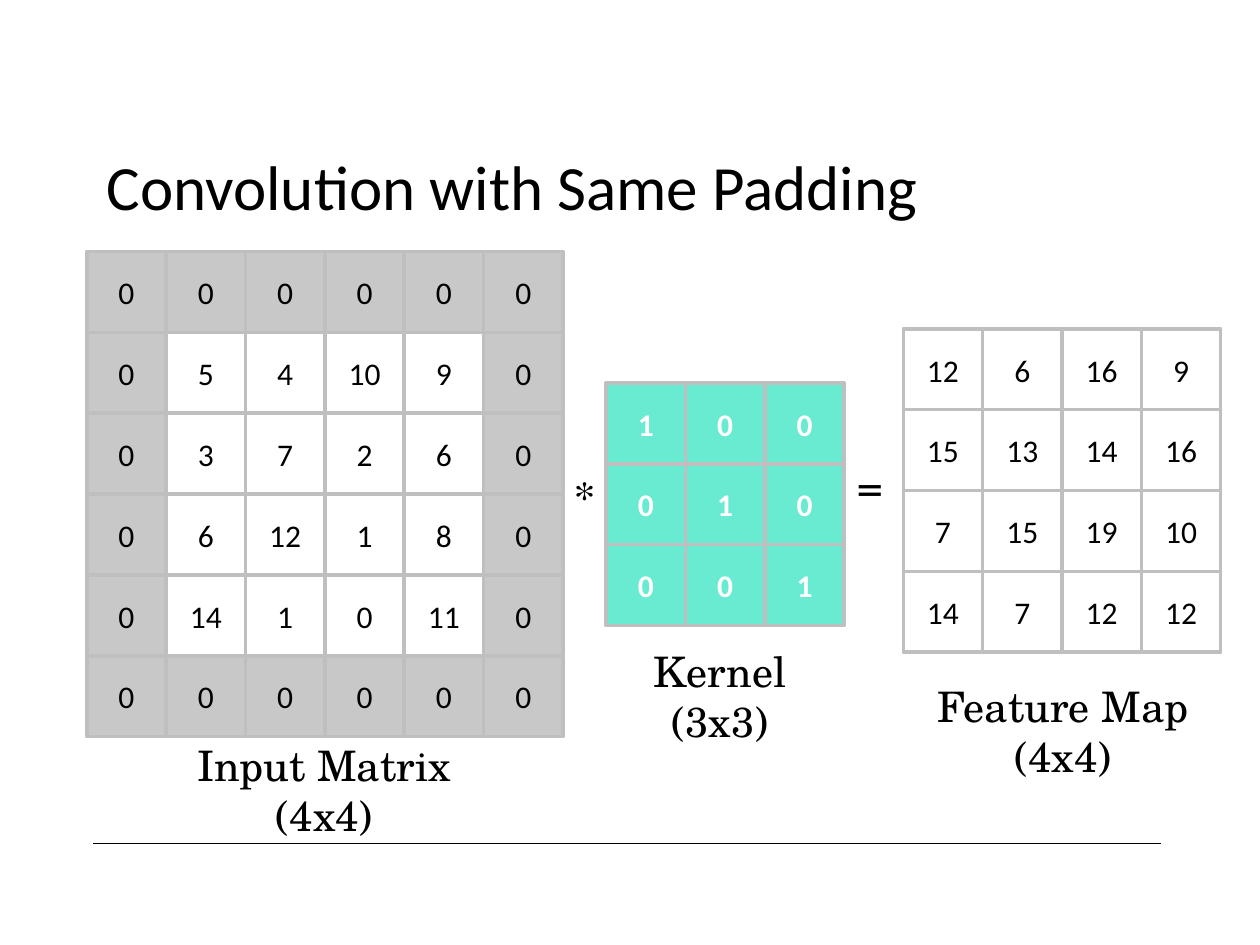
"""Build a slide that shows a convolution with same padding."""
import pptx
import pptx.dml.color
import pptx.enum.shapes
import pptx.enum.text
import pptx.oxml.ns
import pptx.util
import lxml.etree

Cm = pptx.util.Cm
Pt = pptx.util.Pt
Hue = pptx.dml.color.RGBColor.from_string
Kind = pptx.enum.shapes.MSO_SHAPE
Align = pptx.enum.text.PP_ALIGN
Anchor = pptx.enum.text.MSO_ANCHOR

hues = {"ink": "000000", "white": "FFFFFF", "pad": "C8C8C8",
        "mint": "69EBD1", "edge": "BFBFBF"}

deck = pptx.Presentation()
deck.slide_width, deck.slide_height = Cm(25.4), Cm(19.05)
slide = deck.slides.add_slide(deck.slide_layouts[6])


def write(text, box, fill=None, font="TeX Gyre Schola", size=24, hue="ink",
          bold=False, align=Align.CENTER, anchor=Anchor.TOP, top=0.13):
    place = [Cm(n) for n in box]
    if fill:
        shape = slide.shapes.add_shape(Kind.RECTANGLE, *place)
        shape.shadow.inherit = False
        shape.fill.solid()
        shape.fill.fore_color.rgb = Hue(hues[fill])
        shape.line.color.rgb = Hue(hues["edge"])
        shape.line.width = Pt(2)
    else:
        shape = slide.shapes.add_textbox(*place)
    frame = shape.text_frame
    frame.word_wrap = True
    frame.vertical_anchor = anchor
    frame.margin_top = Cm(top)
    frame.text = text
    for para in frame.paragraphs:
        para.alignment = align
        for run in para.runs:
            run.font.name = font
            run.font.size = Pt(size)
            run.font.bold = bold
            run.font.color.rgb = Hue(hues[hue])


rule = slide.shapes.add_connector(
    pptx.enum.shapes.MSO_CONNECTOR.STRAIGHT, Cm(1.88), Cm(17), Cm(23.4), Cm(17))
rule.line.color.rgb = Hue(hues["ink"])
rule.line.width = Pt(0.75)
lxml.etree.SubElement(rule._element.spPr, pptx.oxml.ns.qn("a:effectLst"))

write("Convolution with Same Padding", (1.9, 2.77, 21.5, 2.31),
      font="Calibri", size=36, align=Align.LEFT, top=0.2)

image = [[5, 4, 10, 9], [3, 7, 2, 6], [6, 12, 1, 8], [14, 1, 0, 11]]
padded = [[0] * 6] + [[0, *row, 0] for row in image] + [[0] * 6]
kernel = [[1, 0, 0], [0, 1, 0], [0, 0, 1]]
result = [[12, 6, 16, 9], [15, 13, 14, 16], [7, 15, 19, 10], [14, 7, 12, 12]]

wide, high = 1.6, 1.63
grids = [
    (result, 18.21, 6.63, "white", "ink"),
    (padded, 1.75, 5.07, "white", "ink"),
    (kernel, 12.22, 7.72, "mint", "white"),
]
for grid, left, top, fill, hue in grids:
    last = len(grid) - 1
    for r, row in enumerate(grid):
        for c, value in enumerate(row):
            rim = grid is padded and (r in (0, last) or c in (0, last))
            write(str(value), (left + c * wide, top + r * high, wide, high),
                  fill="pad" if rim else fill, font="Calibri", size=18,
                  hue=hue, bold=grid is kernel, anchor=Anchor.MIDDLE)

for sign, left, top in [("*", 11, 9.37), ("=", 16.76, 9.14)]:
    write(sign, (left, top, 1.57, 1.27))

labels = [("Input Matrix\n(4x4)", 3.53, 14.78),
          ("Kernel\n(3x3)", 11.51, 12.88),
          ("Feature Map\n(4x4)", 18.42, 13.59)]
for label, left, top in labels:
    write(label, (left, top, 6.02, 2.31))

deck.save("out.pptx")
